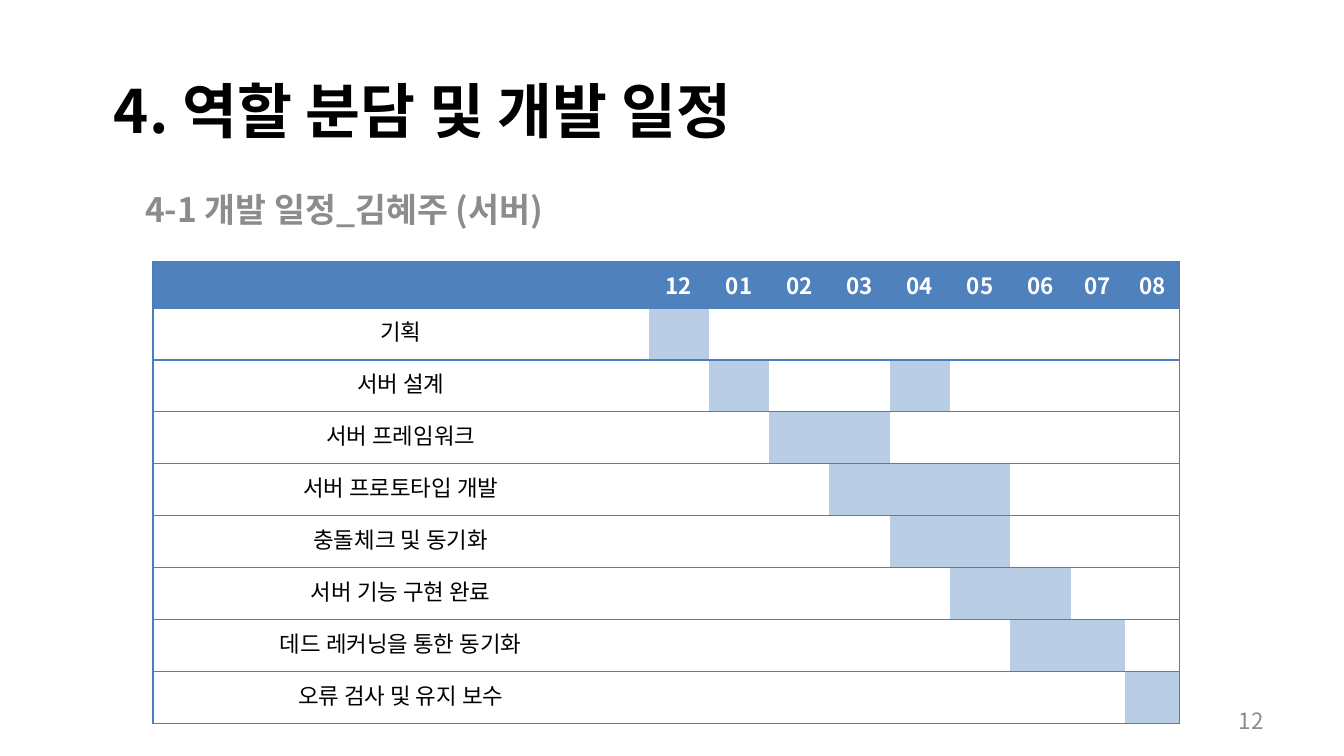
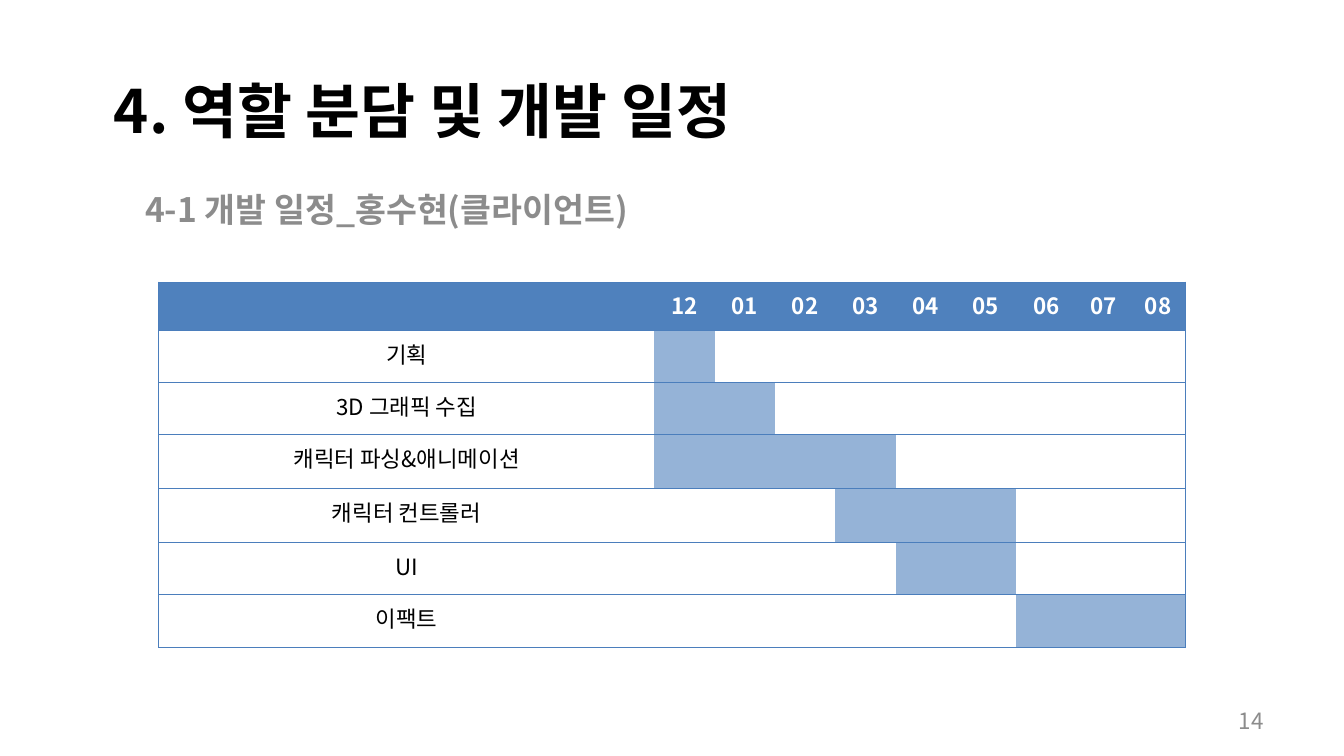
from lxml.etree import SubElement
from pptx import Presentation
from pptx.dml.color import RGBColor
from pptx.enum.text import MSO_ANCHOR, MSO_AUTO_SIZE, PP_ALIGN
from pptx.oxml.ns import qn
from pptx.util import Cm, Pt

FONT = "Noto Sans CJK KR"
BLACK, WHITE, GRAY = "000000", "FFFFFF", "8C8C8C"
HEADER_BLUE, LINE_BLUE = "4F81BD", "4B7EBC"
NO_STYLE = "{2D5ABB26-0587-4C30-8999-92F81FD0307C}"
TITLE = "4. 역할 분담 및 개발 일정"
MONTHS = ["12", "01", "02", "03", "04", "05", "06", "07", "08"]
COL_WIDTHS = [9.37] + [1.14] * 7 + [1.03] * 2

# Each task: name, months worked (index into MONTHS), row height in cm
schedules = [
    {
        "subtitle": "4-1 개발 일정_김혜주 (서버)", "page": "12",
        "left": 2.89, "top": 4.95, "header": 0.87, "bar": "B9CDE5",
        "tasks": [
            ("기획", [0], 0.98),
            ("서버 설계", [1, 4], 0.98),
            ("서버 프레임워크", [2, 3], 0.98),
            ("서버 프로토타입 개발", [3, 4, 5], 0.98),
            ("충돌체크 및 동기화", [4, 5], 0.98),
            ("서버 기능 구현 완료", [5, 6], 0.98),
            ("데드 레커닝을 통한 동기화", [6, 7], 0.98),
            ("오류 검사 및 유지 보수", [8], 0.98),
        ],
    },
    {
        "subtitle": "4-1 개발 일정_홍수현(클라이언트)", "page": "14",
        "left": 3.0, "top": 5.33, "header": 0.92, "bar": "95B3D7",
        "tasks": [
            ("기획", [0], 0.98),
            ("3D 그래픽 수집", [0, 1], 0.98),
            ("캐릭터 파싱&애니메이션", [0, 1, 2, 3], 1.02),
            ("캐릭터 컨트롤러", [3, 4, 5], 1.02),
            ("UI", [4, 5], 0.98),
            ("이팩트", [6, 7, 8], 1.0),
        ],
    },
]


def write(tf, text, size, color, bold=False, align=PP_ALIGN.LEFT):
    """Set one formatted paragraph; an empty one still keeps its text size."""
    tf.text = text
    p = tf.paragraphs[0]
    p.alignment = align
    for r in p.runs:
        r.font.size = Pt(size)
        r.font.bold = bold
        r.font.color.rgb = RGBColor.from_string(color)
        r.font.name = FONT
        SubElement(r.font._element, qn("a:ea"), typeface=FONT)
    if not text:
        SubElement(p._p, qn("a:endParaRPr"), sz=str(size * 100))
    return p


def add_borders(cell, sides):
    tc_pr = cell._tc.get_or_add_tcPr()
    for side in sides:
        ln = SubElement(tc_pr, qn(f"a:ln{side}"), w=str(Pt(0.75)))
        fill = SubElement(ln, qn("a:solidFill"))
        SubElement(fill, qn("a:srgbClr"), val=LINE_BLUE)


prs = Presentation()
prs.slide_width, prs.slide_height = Cm(25.4), Cm(14.28)

for schedule in schedules:
    s = prs.slides.add_slide(prs.slide_layouts[0])

    title, subtitle = s.shapes.title, s.placeholders[1]
    title.left, title.top, title.width, title.height = Cm(1.9), Cm(0.53), Cm(21.6), Cm(3.07)
    title.text_frame.vertical_anchor = MSO_ANCHOR.MIDDLE
    write(title.text_frame, TITLE, 32, BLACK, bold=True)

    subtitle.left, subtitle.top, subtitle.width, subtitle.height = Cm(2.49), Cm(3.56), Cm(10.39), Cm(0.99)
    subtitle.text_frame.auto_size = MSO_AUTO_SIZE.NONE
    p = write(subtitle.text_frame, schedule["subtitle"], 18, GRAY, bold=True)
    p.line_spacing = 0.85

    # Schedule table: header row, then one row per task
    tasks = schedule["tasks"]
    heights = [schedule["header"]] + [height for _, _, height in tasks]
    frame = s.shapes.add_table(
        len(heights), len(COL_WIDTHS), Cm(schedule["left"]), Cm(schedule["top"]),
        Cm(sum(COL_WIDTHS)), Cm(sum(heights)))
    table = frame.table
    table.horz_banding = False
    frame._element.find(".//" + qn("a:tableStyleId")).text = NO_STYLE
    for column, width in zip(table.columns, COL_WIDTHS):
        column.width = Cm(width)
    for row, height in zip(table.rows, heights):
        row.height = Cm(height)

    rows = [[""] + MONTHS] + [[name] + [""] * len(MONTHS) for name, _, _ in tasks]
    for i, texts in enumerate(rows):
        for j, text in enumerate(texts):
            cell = table.cell(i, j)
            left = ["L"] if j == 0 else []
            right = ["R"] if j == len(MONTHS) else []
            add_borders(cell, left + right + ["T", "B"])
            write(cell.text_frame, text, 12, BLACK if i else WHITE,
                  bold=i == 0, align=PP_ALIGN.CENTER)
            if i == 0:
                color = HEADER_BLUE
            elif j - 1 in tasks[i - 1][1]:
                color = schedule["bar"]
            else:
                color = WHITE
            cell.fill.solid()
            cell.fill.fore_color.rgb = RGBColor.from_string(color)

    page = s.shapes.add_textbox(Cm(18.21), Cm(13.23), Cm(5.92), Cm(0.76))
    page.text_frame.word_wrap = True
    page.text_frame.vertical_anchor = MSO_ANCHOR.MIDDLE
    write(page.text_frame, schedule["page"], 12, GRAY, align=PP_ALIGN.RIGHT)

prs.save("out.pptx")
